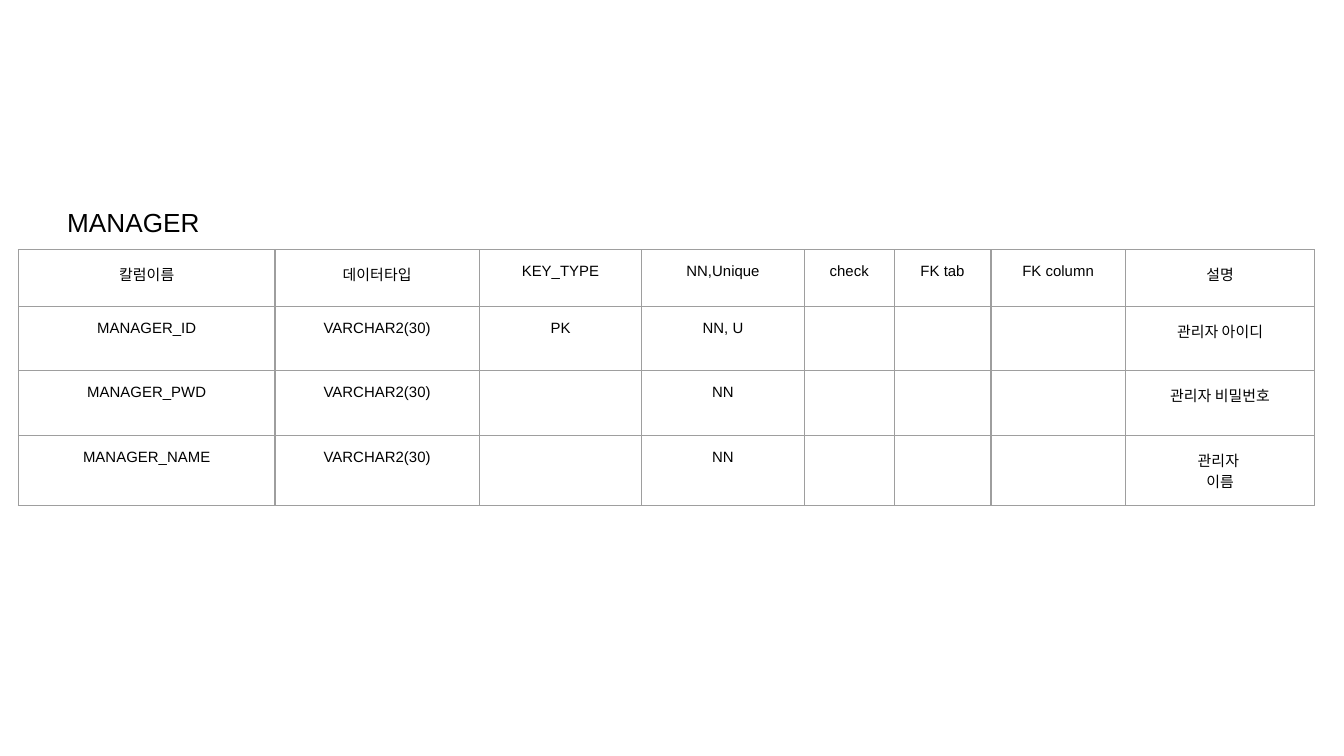
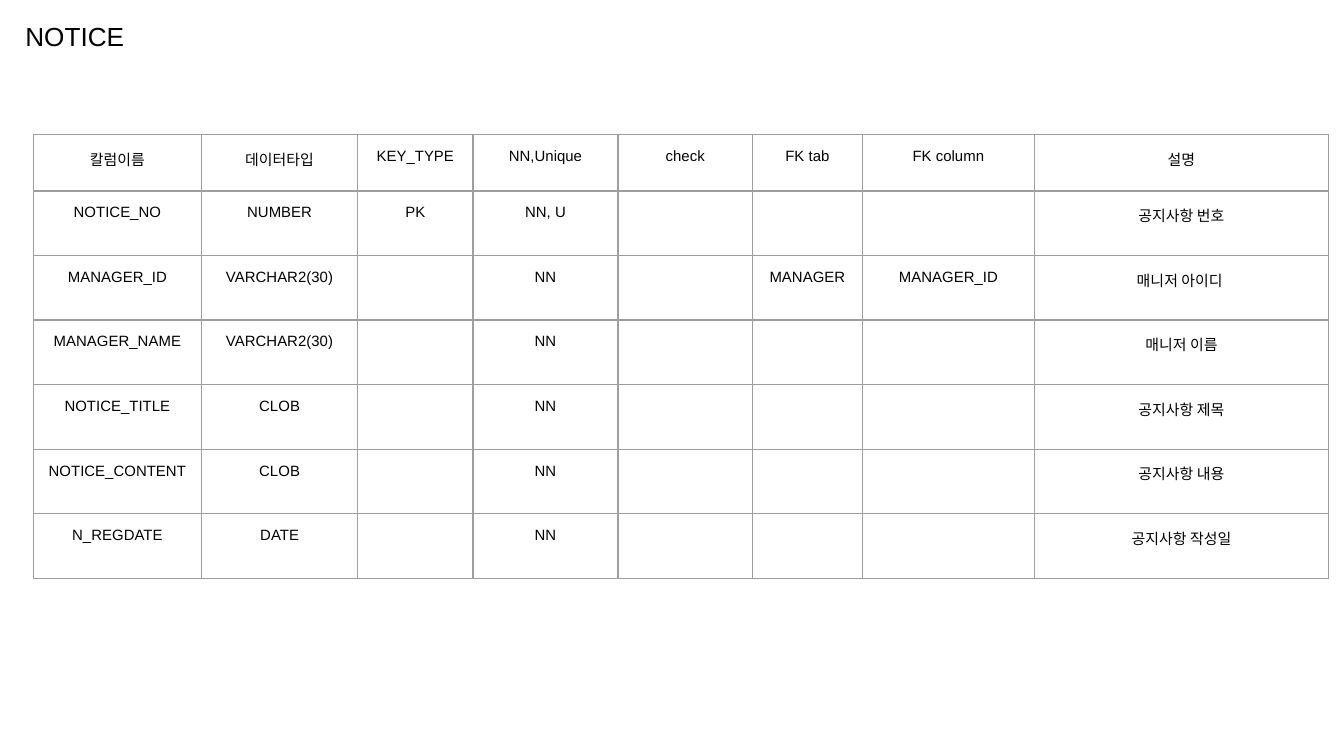
from lxml.etree import SubElement
from pptx import Presentation
from pptx.dml.color import RGBColor
from pptx.enum.text import MSO_ANCHOR, PP_ALIGN
from pptx.oxml import parse_xml
from pptx.oxml.ns import nsdecls, qn
from pptx.util import Cm, Pt

FONT = "Arial"
BLACK = "000000"
GRID = "9E9E9E"
INSET = 0.25
CELL_SIZE = 8
HEADER_HEIGHT = 1.07
ROW_HEIGHT = 1.22
HEADERS = ["칼럼이름", "데이터타입", "KEY_TYPE", "NN,Unique",
           "check", "FK tab", "FK column", "설명"]

MANAGER_WIDTHS = [4.85, 3.86, 3.07, 3.07, 1.7, 1.83, 2.54, 3.58]
MANAGER_ROWS = [
    ["MANAGER_ID", "VARCHAR2(30)", "PK", "NN, U", "", "", "", "관리자 아이디"],
    ["MANAGER_PWD", "VARCHAR2(30)", "", "NN", "", "", "", "관리자 비밀번호"],
    ["MANAGER_NAME", "VARCHAR2(30)", "", "NN", "", "", "", "관리자 \n이름"],
]

NOTICE_WIDTHS = [3.18, 2.95, 2.18, 2.74, 2.54, 2.08, 3.25, 5.56]
NOTICE_ROWS = [
    ["NOTICE_NO", "NUMBER", "PK", "NN, U", "", "", "", "공지사항 번호"],
    ["MANAGER_ID", "VARCHAR2(30)", "", "NN", "", "MANAGER", "MANAGER_ID", "매니저 아이디 "],
    ["MANAGER_NAME", "VARCHAR2(30)", "", "NN", "", "", "", "매니저 이름"],
    ["NOTICE_TITLE", "CLOB", "", "NN", "", "", "", "공지사항 제목"],
    ["NOTICE_CONTENT", "CLOB", "", "NN", "", "", "", "공지사항 내용"],
    ["N_REGDATE", "DATE", "", "NN", "", "", "", "공지사항 작성일"],
]


def rgb(value):
    """Turn a hex string into a colour."""
    return RGBColor.from_string(value)


def set_insets(target):
    """Give a text frame or a cell the shared inner margins."""
    target.margin_left = target.margin_right = Cm(INSET)
    target.margin_top = target.margin_bottom = Cm(INSET)


def write_text(tf, text, size=CELL_SIZE, color=BLACK, align=PP_ALIGN.LEFT):
    """Write one paragraph per line of text in one format."""
    for i, line in enumerate(text.split("\n")):
        p = tf.paragraphs[0] if i == 0 else tf.add_paragraph()
        p.alignment = align
        if line:
            r = p.add_run()
            r.text = line
            r.font.name = FONT
            r.font.size = Pt(size)
            r.font.color.rgb = rgb(color)
        else:
            SubElement(p._p, qn("a:endParaRPr"), sz=str(size * 100))


def set_borders(cell, color=GRID, width=0.75):
    """Draw a solid line on all four sides of a cell."""
    tc_pr = cell._tc.get_or_add_tcPr()
    for i, side in enumerate(["lnL", "lnR", "lnT", "lnB"]):
        tc_pr.insert(i, parse_xml(
            f'<a:{side} {nsdecls("a")} w="{Pt(width)}"><a:solidFill>'
            f'<a:srgbClr val="{color}"/></a:solidFill></a:{side}>'))


def add_title(s, text, left, top):
    """Add the name of the database table."""
    sp = s.shapes.add_textbox(Cm(left), Cm(top), Cm(16.08), Cm(1.88))
    tf = sp.text_frame
    tf.word_wrap = True
    set_insets(tf)
    write_text(tf, text, size=14)


def add_schema(s, rows, widths, left, top):
    """Add the grid that describes the columns of a database table."""
    height = HEADER_HEIGHT + ROW_HEIGHT * len(rows)
    table = s.shapes.add_table(len(rows) + 1, len(widths), Cm(left), Cm(top),
                               Cm(sum(widths)), Cm(height)).table
    table.first_row = table.horz_banding = False
    for column, width in zip(table.columns, widths):
        column.width = Cm(width)
    for i, values in enumerate([HEADERS] + rows):
        table.rows[i].height = Cm(ROW_HEIGHT if i else HEADER_HEIGHT)
        for j, value in enumerate(values):
            cell = table.cell(i, j)
            cell.fill.background()
            cell.vertical_anchor = MSO_ANCHOR.TOP
            set_insets(cell)
            set_borders(cell)
            write_text(cell.text_frame, value, align=PP_ALIGN.CENTER)


def add_slide(prs):
    """Add a blank slide."""
    return prs.slides.add_slide(prs.slide_layouts[6])


def main():
    """Build the two schema slides."""
    prs = Presentation()
    prs.slide_width, prs.slide_height = Cm(25.4), Cm(14.29)

    s = add_slide(prs)
    add_schema(s, MANAGER_ROWS, MANAGER_WIDTHS, left=0.35, top=4.72)
    add_title(s, "MANAGER", left=1.02, top=3.66)

    s = add_slide(prs)
    add_schema(s, NOTICE_ROWS, NOTICE_WIDTHS, left=0.63, top=2.54)
    add_title(s, "NOTICE", left=0.23, top=0.13)

    prs.save("out.pptx")


if __name__ == "__main__":
    main()
